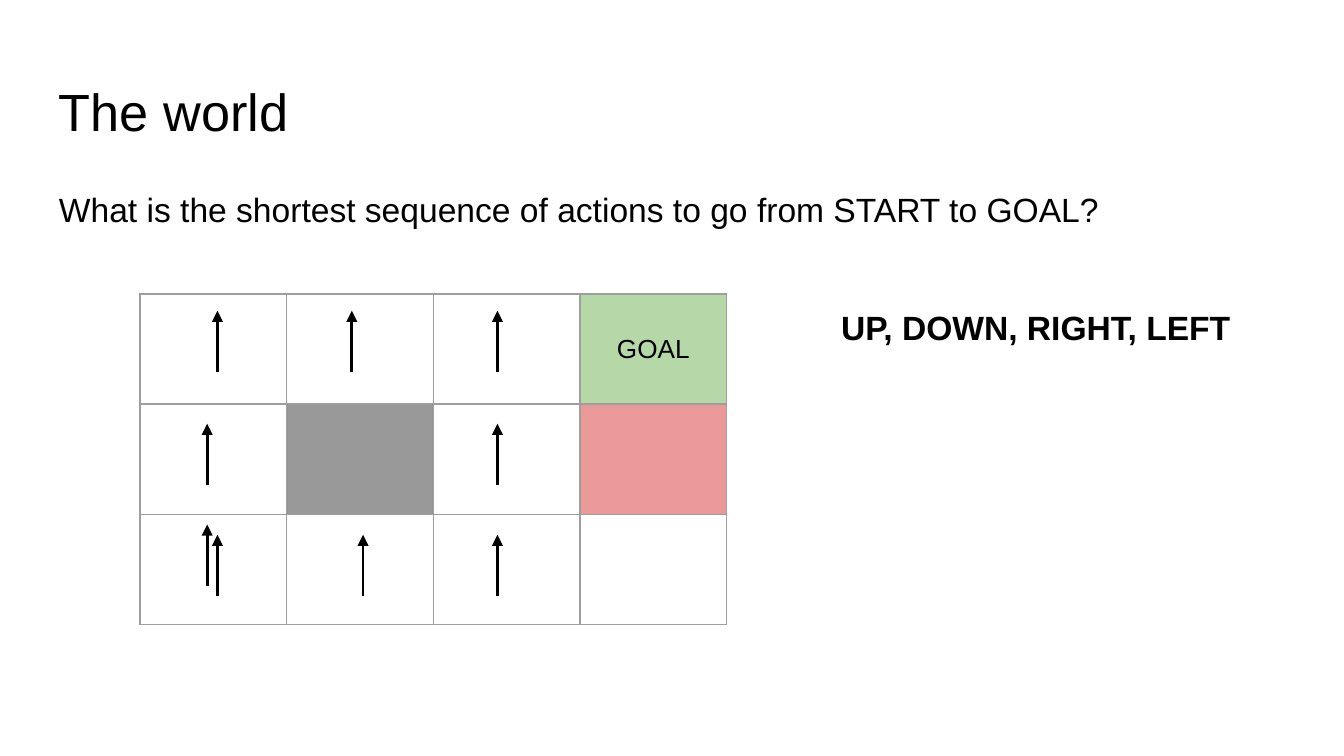
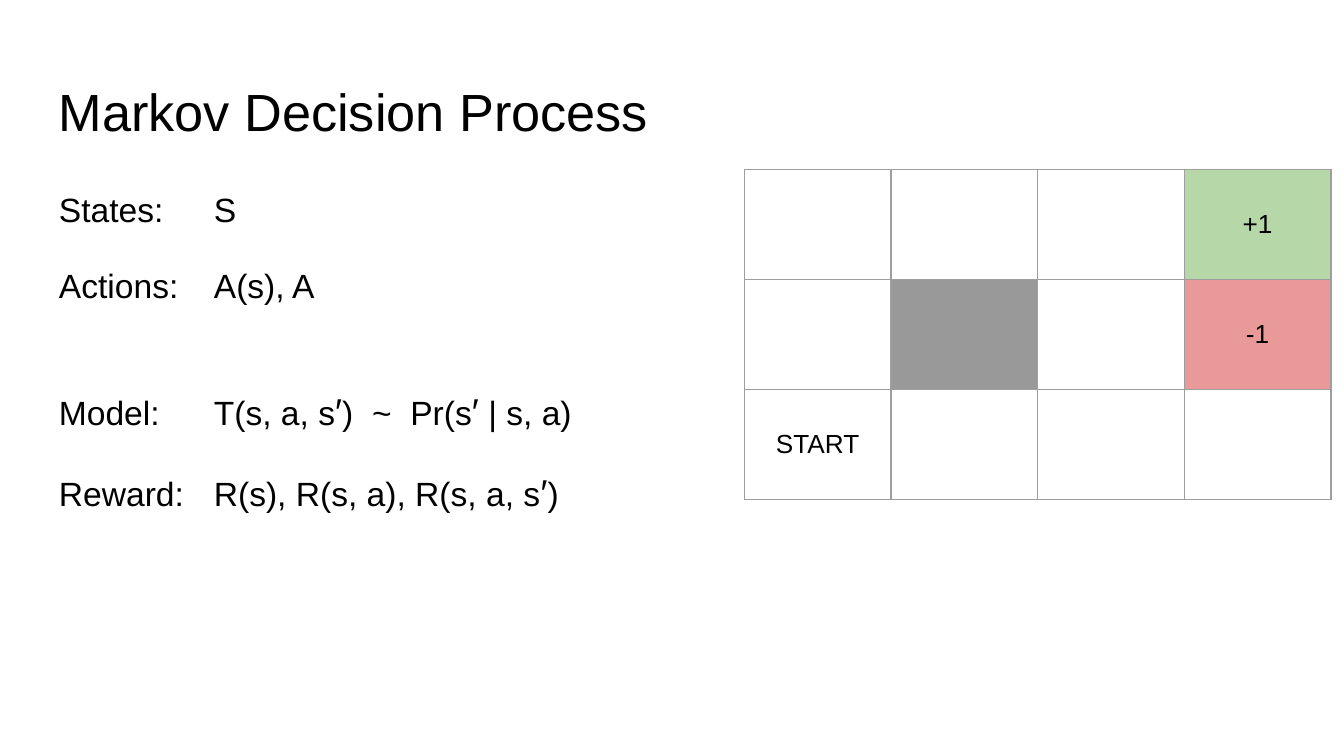
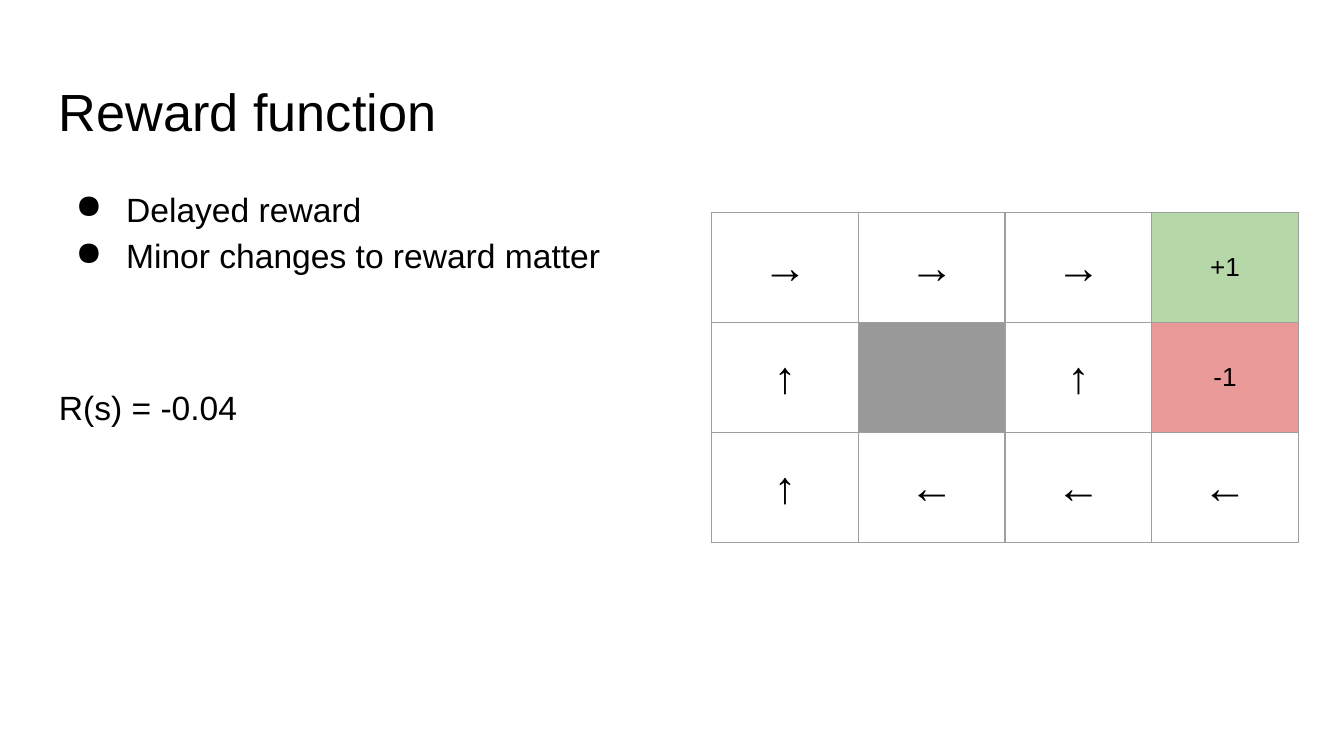
from lxml import etree
from pptx import Presentation
from pptx.dml.color import RGBColor
from pptx.enum.shapes import MSO_CONNECTOR
from pptx.enum.text import MSO_ANCHOR, PP_ALIGN
from pptx.oxml.ns import qn
from pptx.util import Pt

STRAIGHT = MSO_CONNECTOR.STRAIGHT
MIDDLE = MSO_ANCHOR.MIDDLE
CENTER = PP_ALIGN.CENTER

BLACK = RGBColor(0x00, 0x00, 0x00)
GRID_GRAY = RGBColor(0x9E, 0x9E, 0x9E)
WALL_GRAY = RGBColor(0x99, 0x99, 0x99)
GOAL_GREEN = RGBColor(0xB6, 0xD7, 0xA8)
PIT_RED = RGBColor(0xEA, 0x99, 0x99)

FONT = "Arial"
INSET = 7.2
LINE_HEIGHT = 24.6
GAP = 16
VALUE_TAB = 83
COLUMN_WIDTH = 78.6
ROW_HEIGHT = 59
ARROW_LENGTH = 33
WORLD_FILLS = {(0, 3): GOAL_GREEN, (1, 1): WALL_GRAY, (1, 3): PIT_RED}
PRIME = "′"


class WorldDeck:
    """Holds the deck style and the current slide, and draws its elements."""

    def __init__(self):
        self.deck = Presentation()
        self.deck.slide_width = Pt(720)
        self.deck.slide_height = Pt(405)
        self.page = None

    def add_page(self, title):
        self.page = self.deck.slides.add_slide(self.deck.slide_layouts[6])
        frame = self.add_box(24.5, 35.3, 671, 45.4)
        self.set_text(frame.paragraphs[0], title, 28)

    def add_box(self, left, top, width, height):
        box = self.page.shapes.add_textbox(Pt(left), Pt(top), Pt(width), Pt(height))
        frame = box.text_frame
        frame.word_wrap = True
        frame.margin_left = frame.margin_right = Pt(INSET)
        frame.margin_top = frame.margin_bottom = Pt(INSET)
        return frame

    def set_text(self, para, text, size, bold=None):
        para.font.name = FONT
        para.font.size = Pt(size)
        para.font.color.rgb = BLACK
        para.font.bold = bold
        for index, part in enumerate(text.split(PRIME)):
            if index:
                span = para.add_run()
                span.text = PRIME
                span.font.size = Pt(20)
            para.add_run().text = part

    def add_body(self, lines):
        frame = self.add_box(24.5, 90.7, 671, 269.3)
        for index, (text, space_before, bulleted) in enumerate(lines):
            para = frame.add_paragraph() if index else frame.paragraphs[0]
            self.set_text(para, text, 18)
            para.line_spacing = 1.15
            para.space_before = Pt(space_before)
            if bulleted:
                self.add_bullet(para)
            if "\t" in text:
                self.add_tab_stop(para)

    def add_bullet(self, para):
        properties = para._p.get_or_add_pPr()
        properties.set("marL", str(Pt(36)))
        properties.set("indent", str(-Pt(27)))
        bullet = etree.Element(qn("a:buChar"), char="●")
        properties.insert_element_before(bullet, "a:tabLst", "a:defRPr")

    def add_tab_stop(self, para):
        stops = etree.Element(qn("a:tabLst"))
        etree.SubElement(stops, qn("a:tab"), pos=str(Pt(VALUE_TAB)), algn="l")
        para._p.get_or_add_pPr().insert_element_before(stops, "a:defRPr")

    def add_world(self, left, top, rows):
        row_count, column_count = len(rows), len(rows[0])
        table = self.page.shapes.add_table(
            row_count, column_count, Pt(left), Pt(top),
            Pt(COLUMN_WIDTH * column_count), Pt(ROW_HEIGHT * row_count)).table
        table.first_row = table.horz_banding = False
        for column in table.columns:
            column.width = Pt(COLUMN_WIDTH)
        for row_index, row in enumerate(rows):
            table.rows[row_index].height = Pt(ROW_HEIGHT)
            for column_index, text in enumerate(row):
                self.fill_cell(table.cell(row_index, column_index), text,
                               WORLD_FILLS.get((row_index, column_index)))

    def fill_cell(self, cell, text, color):
        cell.vertical_anchor = MIDDLE
        cell.margin_left = cell.margin_right = Pt(INSET)
        cell.margin_top = cell.margin_bottom = Pt(INSET)
        if color is None:
            cell.fill.background()
        else:
            cell.fill.solid()
            cell.fill.fore_color.rgb = color
        if text:
            para = cell.text_frame.paragraphs[0]
            para.alignment = CENTER
            self.set_text(para, text, 24 if text in "←↑→" else 14)
        properties = cell._tc.get_or_add_tcPr()
        for index, side in enumerate(("a:lnL", "a:lnR", "a:lnT", "a:lnB")):
            border = etree.Element(qn(side), w=str(Pt(0.75)))
            fill = etree.SubElement(border, qn("a:solidFill"))
            etree.SubElement(fill, qn("a:srgbClr"), val=str(GRID_GRAY))
            properties.insert(index, border)

    def add_up_arrow(self, x, bottom):
        arrow = self.page.shapes.add_connector(
            STRAIGHT, Pt(x), Pt(bottom), Pt(x), Pt(bottom - ARROW_LENGTH))
        arrow.line.color.rgb = BLACK
        arrow.line.width = Pt(1.5)
        properties = arrow._element.spPr
        etree.SubElement(properties.find(qn("a:ln")), qn("a:tailEnd"), type="triangle")
        etree.SubElement(properties, qn("a:effectLst"))


def main():
    world = WorldDeck()

    world.add_page("The world")
    world.add_body([
        ("What is the shortest sequence of actions to go from START to GOAL?", 0, False)])
    world.add_world(75, 157.5, [["", "", "", "GOAL"], [""] * 4, [""] * 4])
    for x, bottom in ((266.5, 319.5), (266.5, 260), (111, 260),
                      (266.5, 199.5), (188.5, 199.5), (116.5, 199.5),
                      (194.5, 319.5), (116.5, 319.5), (111, 314)):
        world.add_up_arrow(x, bottom)
    actions = world.add_box(443.5, 157.5, 224, 177)
    world.set_text(actions.paragraphs[0], "UP, DOWN, RIGHT, LEFT", 18, True)

    world.add_page("Markov Decision Process")
    world.add_body([
        ("States:\tS", 0, False),
        ("Actions:\tA(s), A", GAP, False),
        ("Model:\tT(s, a, s′)  ~  Pr(s′ | s, a)", GAP + LINE_HEIGHT, False),
        ("Reward:\tR(s), R(s, a), R(s, a, s′)", GAP, False)])
    world.add_world(398.7, 90.7, [["", "", "", "+1"],
                                  ["", "", "", "-1"],
                                  ["START", "", "", ""]])

    world.add_page("Reward function")
    world.add_body([
        ("Delayed reward", 0, True),
        ("Minor changes to reward matter", 0, True),
        ("R(s) = -0.04", 2 * GAP + LINE_HEIGHT, False)])
    world.add_world(381.3, 113.8, [["→", "→", "→", "+1"],
                                   ["↑", "", "↑", "-1"],
                                   ["↑", "←", "←", "←"]])

    world.deck.save("out.pptx")


if __name__ == "__main__":
    main()
